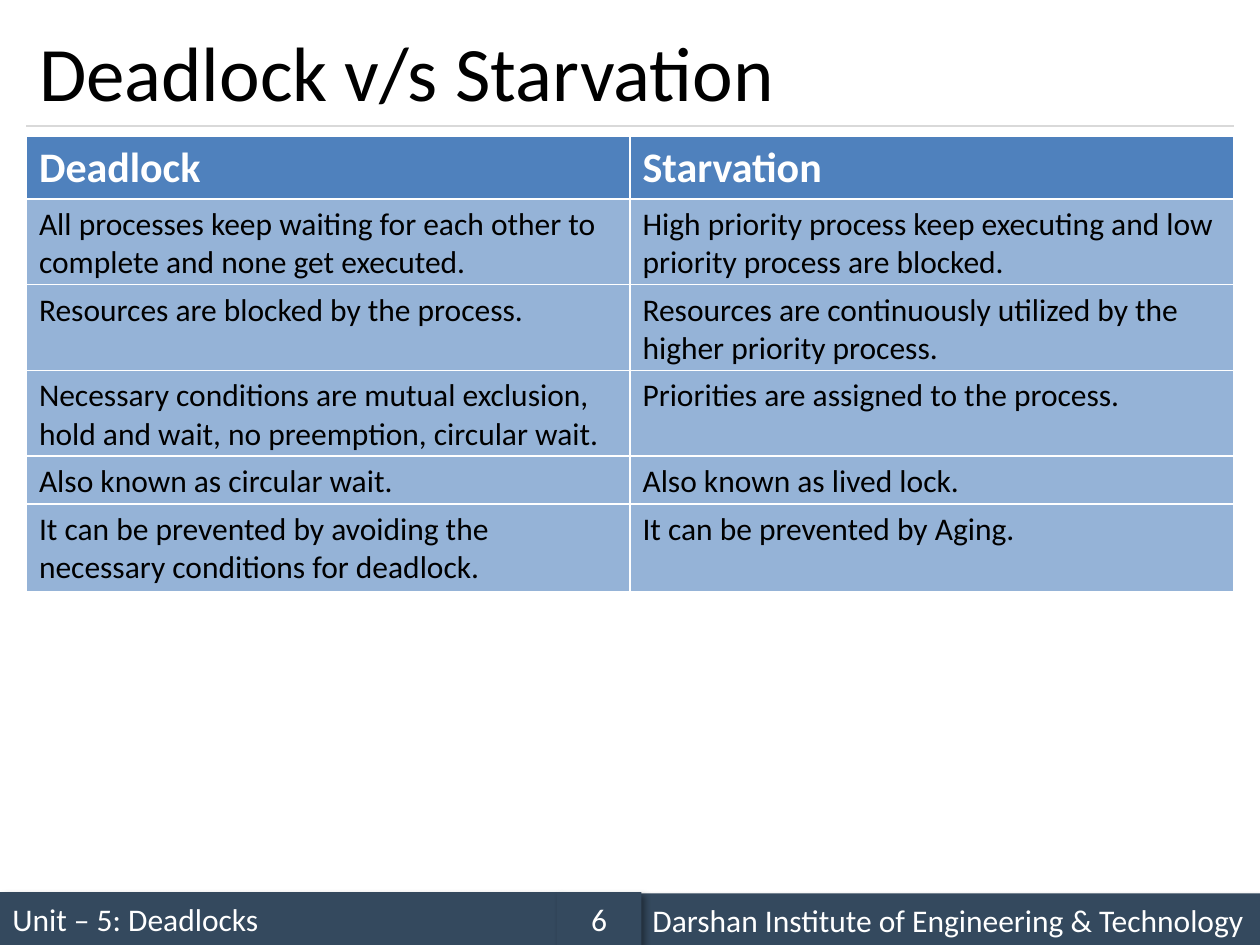
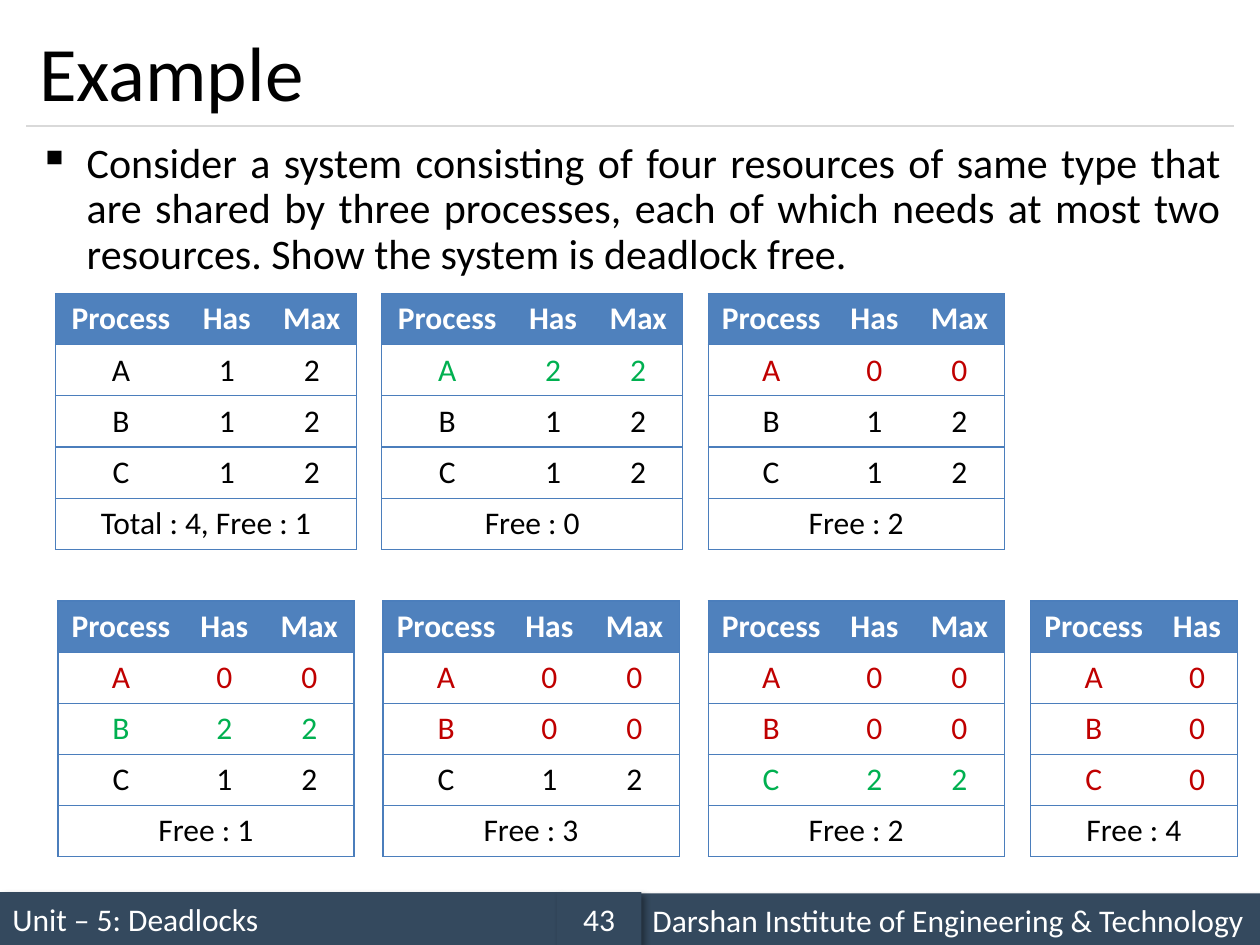
from typing import NamedTuple

from lxml.etree import SubElement as Sub
from pptx import Presentation
from pptx.dml.color import RGBColor as Rgb
from pptx.enum.shapes import MSO_CONNECTOR as Conn, MSO_SHAPE as Geo
from pptx.enum.text import MSO_ANCHOR as Anchor, MSO_AUTO_SIZE as Fit, PP_ALIGN as Align
from pptx.oxml.ns import qn
from pptx.util import Inches, Pt

HUES = {
    "white": "FFFFFF", "black": "000000", "bar": "34495E", "rule": "D9D9D9",
    "head": "4F81BD", "row": "95B3D7", "edge": "4B7EBC",
    "green": "00B050", "red": "C00000",
}
FONT = "Calibri"
LEFT, WIDTH = 0.21, 9.58


class Band(NamedTuple):
    left: float
    top: float
    width: float
    text: str
    align: Align = Align.LEFT


class Pair(NamedTuple):
    top: float
    high: float
    dead: str
    starve: str


class State(NamedTuple):
    left: float
    top: float
    has: tuple[int, ...]
    note: str
    wide: float = 1.0
    cols: int = 3


PAIRS = [
    Pair(1.08, 0.5, "Deadlock", "Starvation"),
    Pair(1.58, 0.7, "All processes keep waiting for each other to complete and none get executed.",
         "High priority process keep executing and low priority process are blocked."),
    Pair(2.26, 0.7, "Resources are blocked by the process.",
         "Resources are continuously utilized by the higher priority process."),
    Pair(2.94, 0.7, "Necessary conditions are mutual exclusion, hold and wait, "
         "no preemption, circular wait.", "Priorities are assigned to the process."),
    Pair(3.62, 0.41, "Also known as circular wait.", "Also known as lived lock."),
    Pair(4.0, 0.7, "It can be prevented by avoiding the necessary conditions for deadlock.",
         "It can be prevented by Aging."),
]

STATES = [
    State(0.44, 2.33, (1, 1, 1), "Total : 4, Free : 1", 1.04),
    State(3.03, 2.33, (2, 1, 1), "Free : 0", 1.04),
    State(5.62, 2.33, (0, 1, 1), "Free : 2"),
    State(0.46, 4.77, (0, 2, 1), "Free : 1"),
    State(3.04, 4.77, (0, 0, 1), "Free : 3"),
    State(5.62, 4.77, (0, 0, 2), "Free : 2"),
    State(8.18, 4.77, (0, 0, 0), "Free : 4", cols=2),
]
# Colour of a process row by the units it holds
MOOD = {0: "red", 1: "black", 2: "green"}


def rgb(name: str) -> Rgb:
    return Rgb.from_string(HUES[name])


def box(*sides: float) -> list[int]:
    return [Inches(side) for side in sides]


def write(frame, text: str, size: int, hue: str, align=Align.LEFT, bold=False):
    para = frame.paragraphs[0]
    para.alignment = align
    run = para.add_run()
    run.text = text
    font = run.font
    font.name, font.size, font.bold = FONT, Pt(size), bold
    font.color.rgb = rgb(hue)
    return para


def tint(parent, hue: str):
    return Sub(Sub(parent, qn("a:solidFill")), qn("a:srgbClr"), val=HUES[hue])


# Shared parts of a slide
def shade(shape) -> None:
    effects = Sub(shape.fill._xPr, qn("a:effectLst"))
    outer = Sub(effects, qn("a:outerShdw"), blurRad=str(Pt(4)), dist=str(Pt(3)),
                dir="2700000", algn="tl", rotWithShape="0")
    color = Sub(outer, qn("a:srgbClr"), val=HUES["black"])
    Sub(color, qn("a:alpha"), val="40000")


def draw_band(slide, band: Band) -> None:
    shape = slide.shapes.add_shape(
        Geo.RECTANGLE, *box(band.left, band.top, band.width, 0.42))
    shape.fill.solid()
    shape.fill.fore_color.rgb = rgb("bar")
    shape.line.fill.background()
    shade(shape)
    frame = shape.text_frame
    frame.word_wrap = True
    frame.vertical_anchor = Anchor.MIDDLE
    write(frame, band.text, 18, "white", band.align)


def new_slide(deck, name: str, page: int):
    slide = deck.slides.add_slide(deck.slide_layouts[5])
    for band in (
        Band(0, 7.08, 4.42, "Unit – 5: Deadlocks"),
        Band(5.08, 7.09, 4.92, "Darshan Institute of Engineering & Technology"),
        Band(4.42, 7.08, 0.67, str(page), Align.CENTER),
    ):
        draw_band(slide, band)
    rule = slide.shapes.add_connector(Conn.STRAIGHT, *box(LEFT, 1, LEFT + WIDTH, 1))
    rule.line.color.rgb = rgb("rule")
    rule.line.width = Pt(0.75)
    Sub(rule._element.spPr, qn("a:effectLst"))

    title = slide.shapes.title
    title.left, title.top, title.width, title.height = box(LEFT, 0.12, WIDTH, 0.88)
    frame = title.text_frame
    frame.auto_size = Fit.NONE
    frame.vertical_anchor = Anchor.MIDDLE
    write(frame, name, 44, "black")
    return slide


# Tables
def add_grid(slide, left: float, top: float, cols: list[float], rows: list[float]):
    grid = slide.shapes.add_table(
        len(rows), len(cols), *box(left, top, sum(cols), sum(rows))).table
    grid.horz_banding = False
    for col, width in zip(grid.columns, cols):
        col.width = Inches(width)
    for row, high in zip(grid.rows, rows):
        row.height = Inches(high)
    return grid


def edge(cell, hue: str, sizes: dict[str, float]) -> None:
    props = cell._tc.get_or_add_tcPr()
    for side in "LRTB":
        size = sizes.get(side, 0)
        line = Sub(props, qn(f"a:ln{side}"), w=str(Pt(size)))
        if size:
            tint(line, hue)
        else:
            Sub(line, qn("a:noFill"))


def paint(cell, hue: str) -> None:
    cell.fill.solid()
    cell.fill.fore_color.rgb = rgb(hue)


def draw_pair(slide, pair: Pair, head: bool) -> None:
    grid = add_grid(slide, LEFT, pair.top, [WIDTH / 2] * 2, [pair.high])
    for cell, text in zip(grid.iter_cells(), (pair.dead, pair.starve)):
        edge(cell, "white", {"L": 1, "R": 1, "T": 1, "B": 3})
        paint(cell, "head" if head else "row")
        if head:
            write(cell.text_frame, text, 24, "white", bold=True)
        else:
            write(cell.text_frame, text, 18, "black")


def draw_state(slide, state: State) -> None:
    cols = [state.wide, 0.64, 0.71][:state.cols]
    grid = add_grid(slide, state.left, state.top, cols, [2.03 / 5] * 5)
    lines = [("Process", "Has", "Max")]
    lines += [(name, str(has), "2" if has else "0") for name, has in zip("ABC", state.has)]
    lines.append((state.note,))
    hues = ["white", *(MOOD[has] for has in state.has), "black"]
    end, foot = state.cols - 1, len(lines) - 1
    grid.cell(foot, 0).merge(grid.cell(foot, end))

    for y, (line, hue) in enumerate(zip(lines, hues)):
        for x in range(state.cols):
            cell = grid.cell(y, x)
            sizes = {"T": 0.75, "B": 0.75}
            if x == 0:
                sizes["L"] = 0.75
            if x == end or y == foot and x == 0:
                sizes["R"] = 0.75
            edge(cell, "edge", sizes)
            if y == 0:
                paint(cell, "head")
            else:
                cell.fill.background()
            if x < len(line):
                write(cell.text_frame, line[x], 18, hue, Align.CENTER, y == 0)


# Bulleted question
def draw_task(slide, text: str) -> None:
    frame = slide.shapes.add_textbox(*box(LEFT, 1.08, WIDTH, 5.83)).text_frame
    frame.word_wrap = True
    para = write(frame, text, 24, "black", Align.JUSTIFY)
    para.line_spacing = 0.9
    props = para._p.get_or_add_pPr()
    props.set("marL", str(Inches(0.38)))
    props.set("indent", str(-Inches(0.38)))
    Sub(props, qn("a:buChar"), char="▪")


def main() -> None:
    deck = Presentation()
    deck.slide_width, deck.slide_height = box(10, 7.5)

    # Comparison
    slide = new_slide(deck, "Deadlock v/s Starvation", 6)
    for spot, pair in enumerate(PAIRS):
        draw_pair(slide, pair, spot == 0)

    # Worked example
    slide = new_slide(deck, "Example", 43)
    draw_task(slide, "Consider a system consisting of four resources of same type that are "
              "shared by three processes, each of which needs at most two resources. "
              "Show the system is deadlock free.")
    for state in STATES:
        draw_state(slide, state)

    deck.save("out.pptx")


if __name__ == "__main__":
    main()
